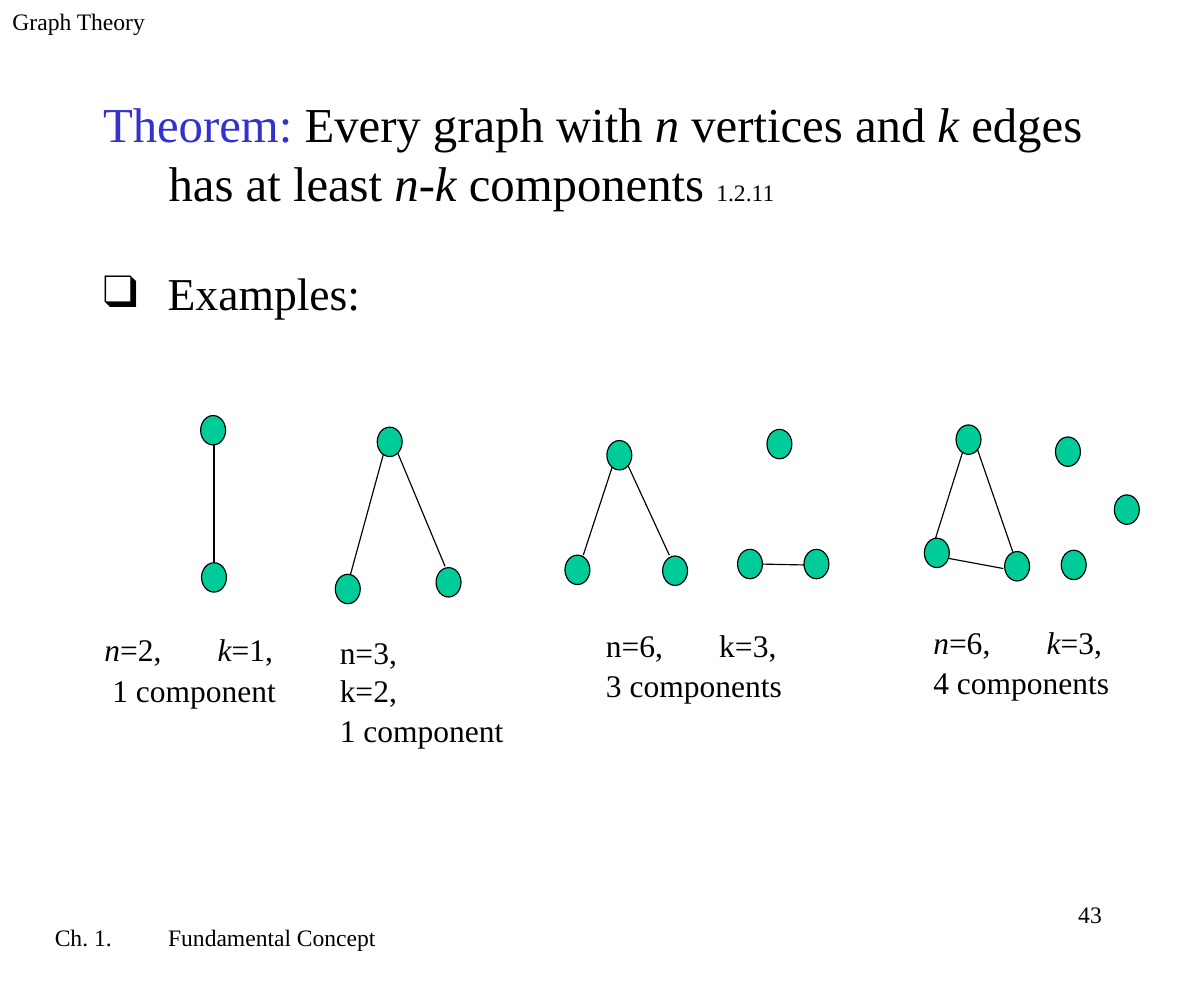
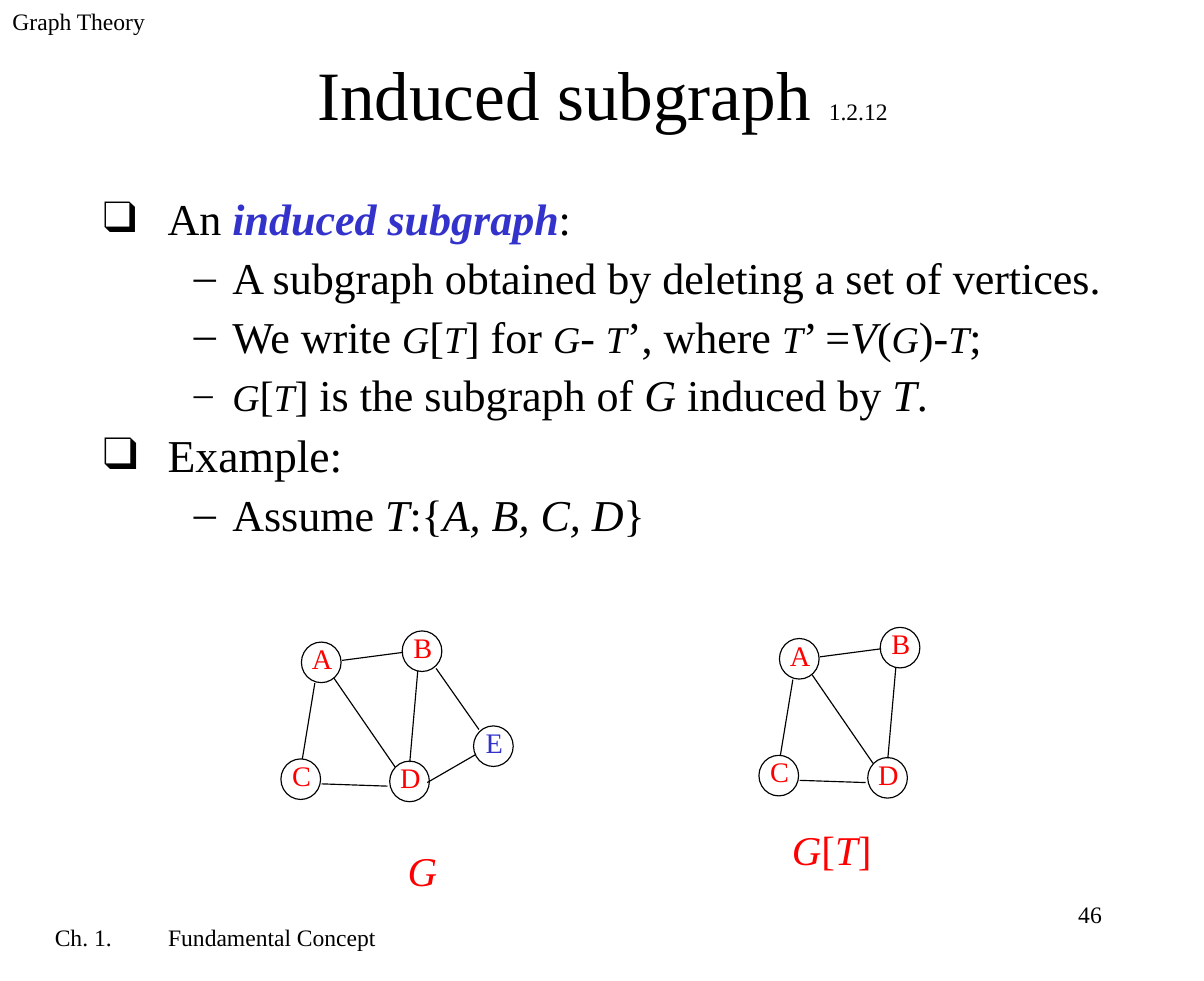
import pptx
import pptx.util
import pptx.dml.color
import pptx.enum.shapes
import pptx.enum.text
import pptx.oxml.ns
import lxml.etree

Cm = pptx.util.Cm
Pt = pptx.util.Pt
ALIGN = pptx.enum.text.PP_ALIGN
ANCHOR = pptx.enum.text.MSO_ANCHOR

FONT = "Times New Roman"
COLORS = {"ink": "000000", "term": "3333CC", "vertex": "00CC99", "label": "FF0000"}

ITALIC = {"italic": True}
SMALL = {"size": 15}
SYMBOL = {"size": 24, "italic": True}
BRACKET = {"size": 27}

RUNNING_TEXT = [
    ((0, 0, 5.64, 1.47), "Graph Theory", {}),
    ((0.95, 20.55, 8, 1.47), "Ch. 1.\tFundamental Concept", {"tab": 1.68}),
]
NUMBER_AREA = (19.35, 20.04, 5.64, 1.47)

TOP_ITEM = {"left": 1.45, "hanging": 1.45, "bullet": "❑"}
SUB_ITEM = {"level": 1, "left": 2.9, "hanging": 0.86, "bullet": "–"}
TIGHT = {"line_spacing": 0.8, "space_before": Pt(10.5)}

THEOREM = {
    "number": "43",
    "title_area": (2.03, 1.96, 22.96, 2.92),
    "title_size": 31,
    "title": [("Theorem:", {"color": "term"}), " Every graph with ", ("n", ITALIC),
              " vertices and ", ("k", ITALIC), " edges has at least ", ("n-k", ITALIC),
              " components ", ("1.2.11", SMALL)],
    "title_format": {"alignment": ALIGN.LEFT, "left": 1.47, "hanging": 1.47},
    "body_area": (2.03, 5.61, 22.96, 1.8),
    "body": [
        ([("Examples:", {"size": 29})],
         {**TOP_ITEM, "line_spacing": 1.15, "space_before": Pt(10.9)}),
    ],
}

INDUCED = {
    "number": "46",
    "title_area": (2.03, 0.66, 22.96, 2.84),
    "title_size": 44,
    "title": ["Induced subgraph ", ("1.2.12", SMALL)],
    "title_format": {"alignment": ALIGN.CENTER},
    "body_area": (2.03, 4.37, 23.09, 8.36),
    "body": [
        (["An ", ("induced subgraph", {"color": "term", "bold": True, "italic": True}), ":"],
         {**TOP_ITEM, **TIGHT}),
        (["A subgraph obtained by deleting a set of vertices."], {**SUB_ITEM, **TIGHT}),
        (["We write ", ("G", SYMBOL), "[", ("T", SYMBOL), "] for ", ("G", SYMBOL), "- ",
          ("T", SYMBOL), "’, where ", ("T", SYMBOL), "’ =", ("V", ITALIC), "(",
          ("G", SYMBOL), ")-", ("T", SYMBOL), ";"], {**SUB_ITEM, **TIGHT}),
        ([("G", SYMBOL), ("[", BRACKET), ("T", SYMBOL), ("] ", BRACKET),
          "is the subgraph of ", ("G", ITALIC), " induced by ", ("T", ITALIC), "."],
         {**SUB_ITEM, **TIGHT}),
        ([("Example:", {"size": 29})], {**TOP_ITEM, **TIGHT, "space_before": Pt(10.9)}),
        (["Assume ", ("T", ITALIC), ":{", ("A, B, C, D", ITALIC), "}"],
         {**SUB_ITEM, **TIGHT}),
    ],
}

CAPTION_TAB = {"tab": 1.64, "space_before": Pt(1.2)}
CAPTION_LINE = {"space_before": Pt(1.2)}
EXAMPLES = [
    {"vertices": [(4.5, 9.32), (4.52, 12.62)],
     "edges": [(4.8, 9.98, 4.8, 12.62)],
     "caption_area": (2.06, 13.97, 4.55, 2.06),
     "caption": [([("n", ITALIC), "=2,\t", ("k", ITALIC), "=1,"], CAPTION_TAB),
                 (["1 component"], {"left": 0.18, "space_before": Pt(2.5)})]},
    {"vertices": [(8.46, 9.58), (7.52, 12.88), (9.78, 12.73)],
     "edges": [(8.66, 9.96, 7.77, 13.21), (8.92, 10.16, 9.98, 12.7)],
     "caption_area": (7.34, 14.05, 4.37, 2.01),
     "caption": [(["n=3,\tk=2,"], CAPTION_TAB), (["1 component"], CAPTION_LINE)]},
    {"vertices": [(13.61, 9.88), (12.67, 12.45), (14.86, 12.47),
                  (17.2, 9.63), (16.54, 12.32), (18.03, 12.32)],
     "edges": [(13.74, 10.44, 13.08, 12.45), (14.07, 10.41, 15.01, 12.45),
               (17.09, 12.65, 18.03, 12.67)],
     "caption_area": (13.31, 13.89, 4.78, 2.01),
     "caption": [(["n=6,\tk=3,"], CAPTION_TAB), (["3 components"], CAPTION_LINE)]},
    {"vertices": [(21.44, 9.53), (20.73, 12.07), (22.53, 12.37),
                  (23.8, 12.34), (23.67, 9.8), (24.99, 11.1)],
     "edges": [(21.59, 10.13, 20.98, 12.07), (21.92, 10.08, 22.71, 12.37),
               (21.26, 12.52, 22.5, 12.75)],
     "caption_area": (20.65, 13.82, 4.88, 2.01),
     "caption": [([("n", ITALIC), "=6,\t", ("k", ITALIC), "=3,"], CAPTION_TAB),
                 (["4 components"], CAPTION_LINE)]},
]
VERTEX_SIZE = (0.56, 0.66)

KEPT = "ABCD"
NAMED_VERTICES = {"A": (6.76, 14.4), "B": (9.02, 14.15), "C": (6.3, 17.02),
                  "D": (8.74, 17.07), "E": (10.62, 16.28)}
NAMED_EDGES = {
    "AC": (7.06, 15.32, 6.78, 17.02), "AB": (7.67, 14.81, 9.04, 14.63),
    "CD": (7.21, 17.58, 8.69, 17.63), "DE": (9.58, 17.55, 10.67, 16.92),
    "BE": (9.78, 14.99, 10.74, 16.36), "AD": (7.49, 15.21, 8.86, 17.2),
    "BD": (9.37, 15.04, 9.19, 17.09),
}
NAMED_SIZE = (0.89, 0.91)
NAMED_GRAPHS = [
    {"names": "ABCDE", "shift": (0, 0), "caption_area": (8.86, 18.82, 3.5, 1.37),
     "caption": [("G", ITALIC)]},
    {"names": KEPT, "shift": (10.72, -0.08), "caption_area": (17.48, 18.34, 3.2, 1.37),
     "caption": [("G", ITALIC), "[", ("T", ITALIC), "]"]},
]


def rgb(name):
    return pptx.dml.color.RGBColor.from_string(COLORS[name])


def lengths(values):
    return [Cm(value) for value in values]


def add_element(parent, tag, **attributes):
    return lxml.etree.SubElement(parent, pptx.oxml.ns.qn(tag), attributes)


def format_paragraph(para, look):
    for key in ("alignment", "level", "line_spacing", "space_before"):
        if key in look:
            setattr(para, key, look[key])
    properties = para._p.get_or_add_pPr()
    properties.set("marL", str(Cm(look.get("left", 0))))
    properties.set("indent", str(-Cm(look.get("hanging", 0))))
    if "bullet" in look:
        color = add_element(properties, "a:buClr")
        add_element(color, "a:srgbClr", val=COLORS["ink"])
        add_element(properties, "a:buFont", typeface=FONT)
        add_element(properties, "a:buChar", char=look["bullet"])
    else:
        add_element(properties, "a:buNone")
    if "tab" in look:
        stops = add_element(properties, "a:tabLst")
        add_element(stops, "a:tab", pos=str(Cm(look["tab"])), algn="l")


def write_text(box, paragraphs, size, color="ink", **frame_look):
    frame = box.text_frame
    frame_values = {"word_wrap": True, "auto_size": pptx.enum.text.MSO_AUTO_SIZE.NONE,
                    "vertical_anchor": ANCHOR.TOP,
                    "margin_left": Cm(0.28), "margin_right": Cm(0.28),
                    "margin_top": Cm(0.15), "margin_bottom": Cm(0.15), **frame_look}
    for key, value in frame_values.items():
        setattr(frame, key, value)
    for index, (spans, look) in enumerate(paragraphs):
        para = frame.paragraphs[0] if index == 0 else frame.add_paragraph()
        format_paragraph(para, look)
        for item in spans:
            text, changes = (item, {}) if isinstance(item, str) else item
            span = para.add_run()
            span.text = text
            values = {"name": FONT, "size": size, "bold": False, "italic": False,
                      "color": color, **changes}
            span.font.color.rgb = rgb(values.pop("color"))
            values["size"] = Pt(values["size"])
            for key, value in values.items():
                setattr(span.font, key, value)


def add_text(page, area, paragraphs, size, color="ink"):
    box = page.shapes.add_textbox(*lengths(area))
    write_text(box, paragraphs, size, color)


def fill_placeholder(box, area, paragraphs, size, **frame_look):
    box.left, box.top, box.width, box.height = lengths(area)
    write_text(box, paragraphs, size, **frame_look)


def add_page(deck, content):
    page = deck.slides.add_slide(deck.slide_layouts[1])
    fill_placeholder(page.shapes.title, content["title_area"],
                     [(content["title"], content["title_format"])],
                     content["title_size"], vertical_anchor=ANCHOR.MIDDLE)
    fill_placeholder(page.placeholders[1], content["body_area"], content["body"], 28)
    for area, text, look in RUNNING_TEXT:
        add_text(page, area, [([text], look)], 15)
    add_text(page, NUMBER_AREA, [([content["number"]], {"alignment": ALIGN.RIGHT})], 15)
    return page


def draw_outline(shape):
    shape.line.color.rgb = rgb("ink")
    shape.line.width = Pt(0.75)


def add_edge(page, ends):
    edge = page.shapes.add_connector(pptx.enum.shapes.MSO_CONNECTOR.STRAIGHT, *lengths(ends))
    draw_outline(edge)
    add_element(edge._element.spPr, "a:effectLst")


def add_vertex(page, corner, size):
    vertex = page.shapes.add_shape(pptx.enum.shapes.MSO_SHAPE.OVAL, *lengths(corner + size))
    vertex.shadow.inherit = False
    draw_outline(vertex)
    return vertex


def add_example(page, example):
    for ends in example["edges"]:
        add_edge(page, ends)
    for corner in example["vertices"]:
        vertex = add_vertex(page, corner, VERTEX_SIZE)
        vertex.fill.solid()
        vertex.fill.fore_color.rgb = rgb("vertex")
    add_text(page, example["caption_area"], example["caption"], 20)


def add_named_graph(page, graph):
    right, down = graph["shift"]
    for pair, (x1, y1, x2, y2) in NAMED_EDGES.items():
        if set(pair) <= set(graph["names"]):
            add_edge(page, (x1 + right, y1 + down, x2 + right, y2 + down))
    for name in graph["names"]:
        x, y = NAMED_VERTICES[name]
        vertex = add_vertex(page, (x + right, y + down), NAMED_SIZE)
        vertex.fill.background()
        write_text(vertex, [([name], {"alignment": ALIGN.CENTER})], 18,
                   "label" if name in KEPT else "term", word_wrap=False,
                   vertical_anchor=ANCHOR.MIDDLE, margin_left=Cm(0.04), margin_right=0,
                   margin_top=0, margin_bottom=Cm(0.18))
    add_text(page, graph["caption_area"], [(graph["caption"], {})], 26, "label")


def main():
    deck = pptx.Presentation()
    deck.slide_width, deck.slide_height = Cm(27), Cm(22)
    theorem_page = add_page(deck, THEOREM)
    for example in EXAMPLES:
        add_example(theorem_page, example)
    induced_page = add_page(deck, INDUCED)
    for graph in NAMED_GRAPHS:
        add_named_graph(induced_page, graph)
    deck.save("out.pptx")


if __name__ == "__main__":
    main()
